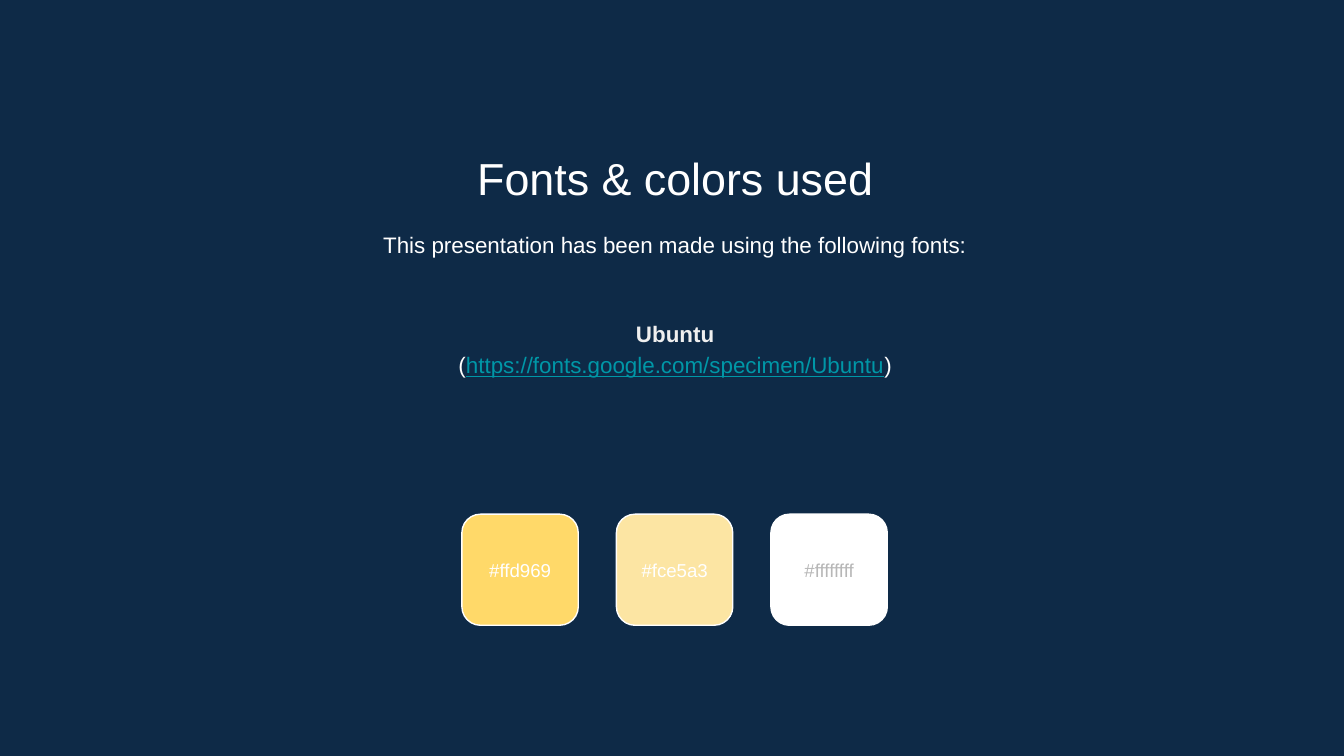
from lxml import etree
from pptx import Presentation
from pptx.dml.color import RGBColor
from pptx.enum import shapes, text
from pptx.oxml.ns import qn
from pptx.util import Cm, Pt


def color(hex_code):
    return RGBColor.from_string(hex_code)


def write(shape, lines, size, anchor=text.MSO_ANCHOR.TOP, spacing=1.0, top_inset=0.25):
    frame = shape.text_frame
    frame.word_wrap = True
    frame.auto_size = text.MSO_AUTO_SIZE.NONE
    frame.vertical_anchor = anchor
    frame.margin_left = frame.margin_right = frame.margin_bottom = Cm(0.25)
    frame.margin_top = Cm(top_inset)
    for number, line in enumerate(lines):
        paragraph = frame.add_paragraph() if number else frame.paragraphs[0]
        properties = paragraph._p.get_or_add_pPr()
        properties.set("marL", "0")
        properties.set("indent", "0")
        etree.SubElement(properties, qn("a:buNone"))
        paragraph.alignment = text.PP_ALIGN.CENTER
        paragraph.line_spacing = spacing
        paragraph.space_before = Pt(0)
        for words, hex_code, bold, underline in line:
            run = paragraph.add_run()
            run.text = words
            run.font.name = "Arial"
            run.font.size = Pt(size)
            run.font.bold = bold
            run.font.underline = underline
            run.font.color.rgb = color(hex_code)


deck = Presentation()
deck.slide_width, deck.slide_height = Cm(25.4), Cm(14.29)
slide = deck.slides.add_slide(deck.slide_layouts[3])
slide.background.fill.solid()
slide.background.fill.fore_color.rgb = color("0E2A47")

title, intro, font_list = list(slide.placeholders)[:3]
for part, top, height in [(title, 2.59, 1.35), (intro, 4.04, 1.22), (font_list, 5.41, 3.48)]:
    part.left, part.top, part.width, part.height = Cm(2.97), Cm(top), Cm(19.58), Cm(height)

write(title, [[("Fonts & colors used", "FFFFFF", False, False)]], 24)
write(intro, [[("This presentation has been made using the following fonts:", "FFFFFF", False, False)]],
      12, spacing=1.15)
write(font_list, [
    [("Ubuntu", "EFEFEF", True, False)],
    [("(", "FFFFFF", False, False),
     ("https://fonts.google.com/specimen/Ubuntu", "0097A7", False, True),
     (")", "FFFFFF", False, False)],
], 12, spacing=1.15, top_inset=0.57)

swatches = [("#ffd969", "FFD969", "FFFFFF"),
            ("#fce5a3", "FCE5A3", "FFFFFF"),
            ("#ffffffff", "FFFFFF", "B7B7B7")]
for column, (code, fill, ink) in enumerate(swatches):
    swatch = slide.shapes.add_shape(shapes.MSO_SHAPE.ROUNDED_RECTANGLE,
                                    Cm(8.73 + 2.92 * column), Cm(9.72), Cm(2.2), Cm(2.1))
    swatch.shadow.inherit = False
    swatch.fill.solid()
    swatch.fill.fore_color.rgb = color(fill)
    swatch.line.color.rgb = color("FFFFFF")
    swatch.line.width = Pt(0.75)
    write(swatch, [[(code, ink, False, False)]], 10, anchor=text.MSO_ANCHOR.MIDDLE)

deck.save("out.pptx")
